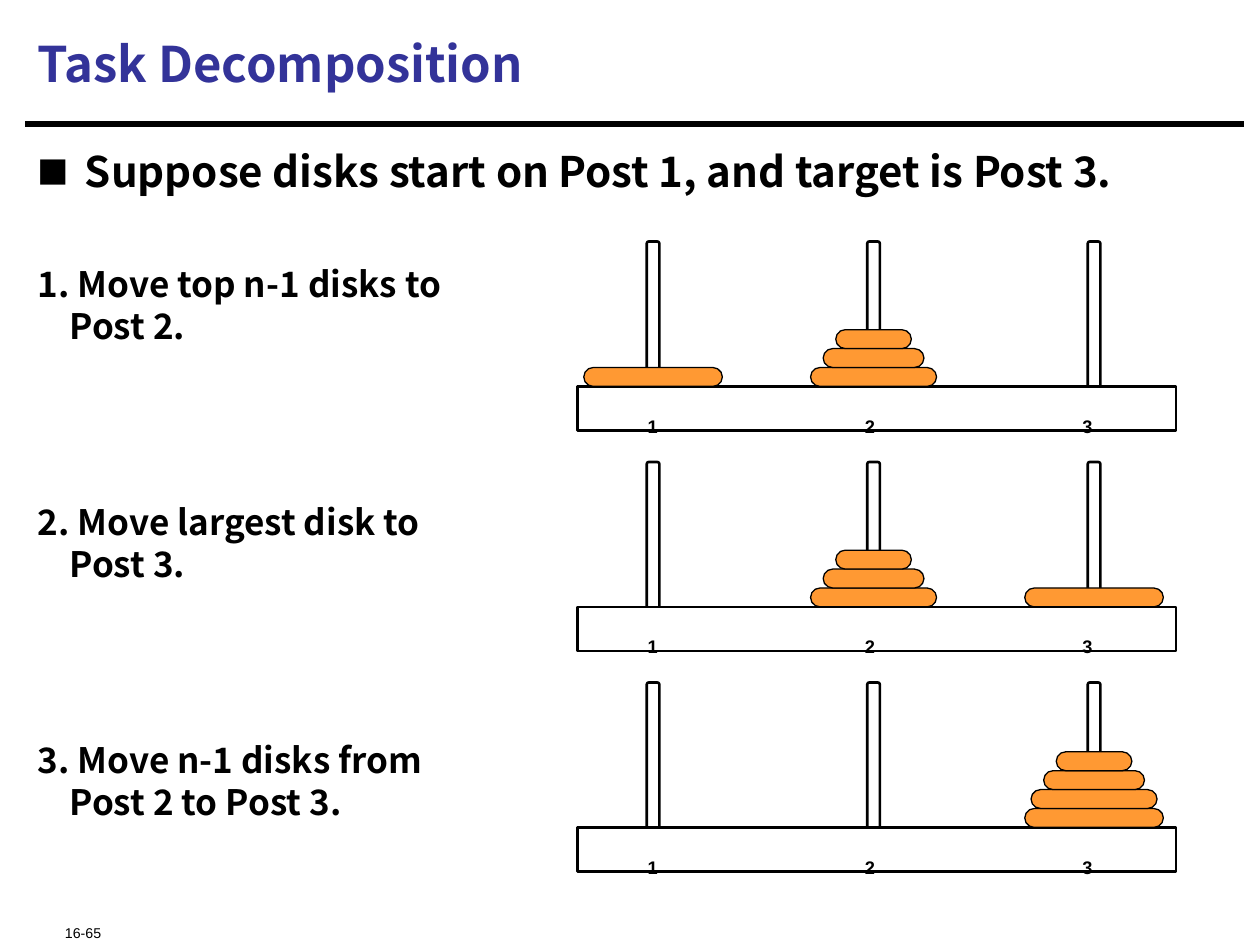
from pptx import Presentation
from pptx.dml.color import RGBColor
from pptx.enum.shapes import MSO_CONNECTOR, MSO_SHAPE
from pptx.enum.text import MSO_ANCHOR, PP_ALIGN
from pptx.oxml.ns import qn
from pptx.util import Pt
from lxml import etree

BLACK = RGBColor(0x00, 0x00, 0x00)
WHITE = RGBColor(0xFF, 0xFF, 0xFF)
NAVY = RGBColor(0x33, 0x33, 0x99)
ORANGE = RGBColor(0xFF, 0x99, 0x33)
HEAD_FONT = "Noto Sans CJK SC"
LABEL_FONT = "Arial"

POST_W, POST_H, POST_GAP, FIRST_POST = 7.2, 104.4, 126, 43.2
BASE_TOP, BASE_H = 82.8, 25.2
DISK_H = 10.8
DISK_WIDTHS = {1: 43.2, 2: 57.6, 3: 72, 4: 79.2}

STEPS = [
    "1. Move top n-1 disks to\vPost 2.",
    "2. Move largest disk to\vPost 3.",
    "3. Move n-1 disks from\vPost 2 to Post 3.",
]
# For each step: the disks on posts 1 to 3, from bottom to top
SCENES = [
    [[4], [3, 2, 1], []],
    [[], [3, 2, 1], [4]],
    [[], [], [4, 3, 2, 1]],
]


def set_font(p, size, name, color=BLACK, bold=True, subscript=False):
    for r in p.runs:
        r.font.size, r.font.name, r.font.bold = Pt(size), name, bold
        r.font.color.rgb = color
        if subscript:
            r._r.get_or_add_rPr().set("baseline", "-25000")


def add_box(s, kind, x, y, w, h, fill, line_width):
    sp = s.shapes.add_shape(kind, Pt(x), Pt(y), Pt(w), Pt(h))
    sp.shadow.inherit = False
    sp.fill.solid()
    sp.fill.fore_color.rgb = fill
    sp.line.color.rgb = BLACK
    sp.line.width = Pt(line_width)
    return sp


def add_label(s, text, x, y, w, h, size, bold):
    tf = s.shapes.add_textbox(Pt(x), Pt(y), Pt(w), Pt(h)).text_frame
    tf.text = text
    set_font(tf.paragraphs[0], size, LABEL_FONT, bold=bold, subscript=True)


def add_title(s, x, y, w, h):
    sp = s.shapes.title
    sp.left, sp.top, sp.width, sp.height = Pt(x), Pt(y), Pt(w), Pt(h)
    tf = sp.text_frame
    tf.text = "Task Decomposition"
    tf.vertical_anchor = MSO_ANCHOR.MIDDLE
    p = tf.paragraphs[0]
    p.alignment = PP_ALIGN.LEFT
    set_font(p, 28, HEAD_FONT, NAVY)

    # Rule below the title
    rule_y = Pt(y + h + 5)
    rule = s.shapes.add_connector(
        MSO_CONNECTOR.STRAIGHT, Pt(x), rule_y, Pt(x + w), rule_y)
    rule.line.color.rgb = BLACK
    rule.line.width = Pt(3.75)
    etree.SubElement(rule._element.spPr, qn("a:effectLst"))


def set_indent(p, indent):
    pPr = p._p.get_or_add_pPr()
    pPr.set("marL", str(Pt(indent)))
    pPr.set("indent", str(-Pt(indent)))
    return pPr


def add_body(s, x, y, w, h):
    tf = s.shapes.add_textbox(Pt(x), Pt(y), Pt(w), Pt(h)).text_frame
    tf.word_wrap = True

    # Bulleted statement
    tf.text = "Suppose disks start on Post 1, and target is Post 3."
    p = tf.paragraphs[0]
    p.line_spacing = Pt(29)
    pPr = set_indent(p, 27)
    etree.SubElement(pPr, qn("a:buSzPct"), val="75000")
    etree.SubElement(pPr, qn("a:buFont"), typeface=HEAD_FONT)
    etree.SubElement(pPr, qn("a:buChar"), char="■")
    set_font(p, 24, HEAD_FONT)

    # Steps
    for i, step in enumerate(STEPS):
        p = tf.add_paragraph()
        p.text = step
        p.line_spacing = Pt(24)
        p.space_before = Pt(88 if i else 38)
        set_indent(p, 18.3)
        set_font(p, 20, HEAD_FONT)


def add_towers(s, x, y, w, stacks):
    centers = [x + FIRST_POST + i * POST_GAP for i in range(len(stacks))]
    base_y = y + BASE_TOP

    # Posts and base
    for cx in centers:
        add_box(s, MSO_SHAPE.ROUNDED_RECTANGLE, cx - POST_W / 2, y,
                POST_W, POST_H, WHITE, 1.5)
    add_box(s, MSO_SHAPE.RECTANGLE, x, base_y, w, BASE_H, WHITE, 1.5)

    # Post numbers
    for i in range(len(stacks)):
        add_label(s, str(i + 1), x + 33 + i * 124.2, base_y + 0.7,
                  24.5, 28.8, 18, True)

    # Disks
    for cx, stack in zip(centers, stacks):
        for level, disk in enumerate(stack, 1):
            disk_w = DISK_WIDTHS[disk]
            sp = add_box(s, MSO_SHAPE.ROUNDED_RECTANGLE, cx - disk_w / 2,
                         base_y - level * DISK_H, disk_w, DISK_H, ORANGE, 0.75)
            sp.adjustments[0] = 0.5


def main():
    prs = Presentation()
    prs.slide_width, prs.slide_height = Pt(720), Pt(540)
    s = prs.slides.add_slide(prs.slide_layouts[5])
    add_title(s, 14.4, 6, 696.6, 60)
    add_body(s, 14.4, 79.5, 696.6, 431)
    for i, stacks in enumerate(SCENES):
        add_towers(s, 330, 138 + i * 126, 342, stacks)
    add_label(s, "16-65", 30, 515, 180, 19.4, 14, False)
    prs.save("out.pptx")


if __name__ == "__main__":
    main()
